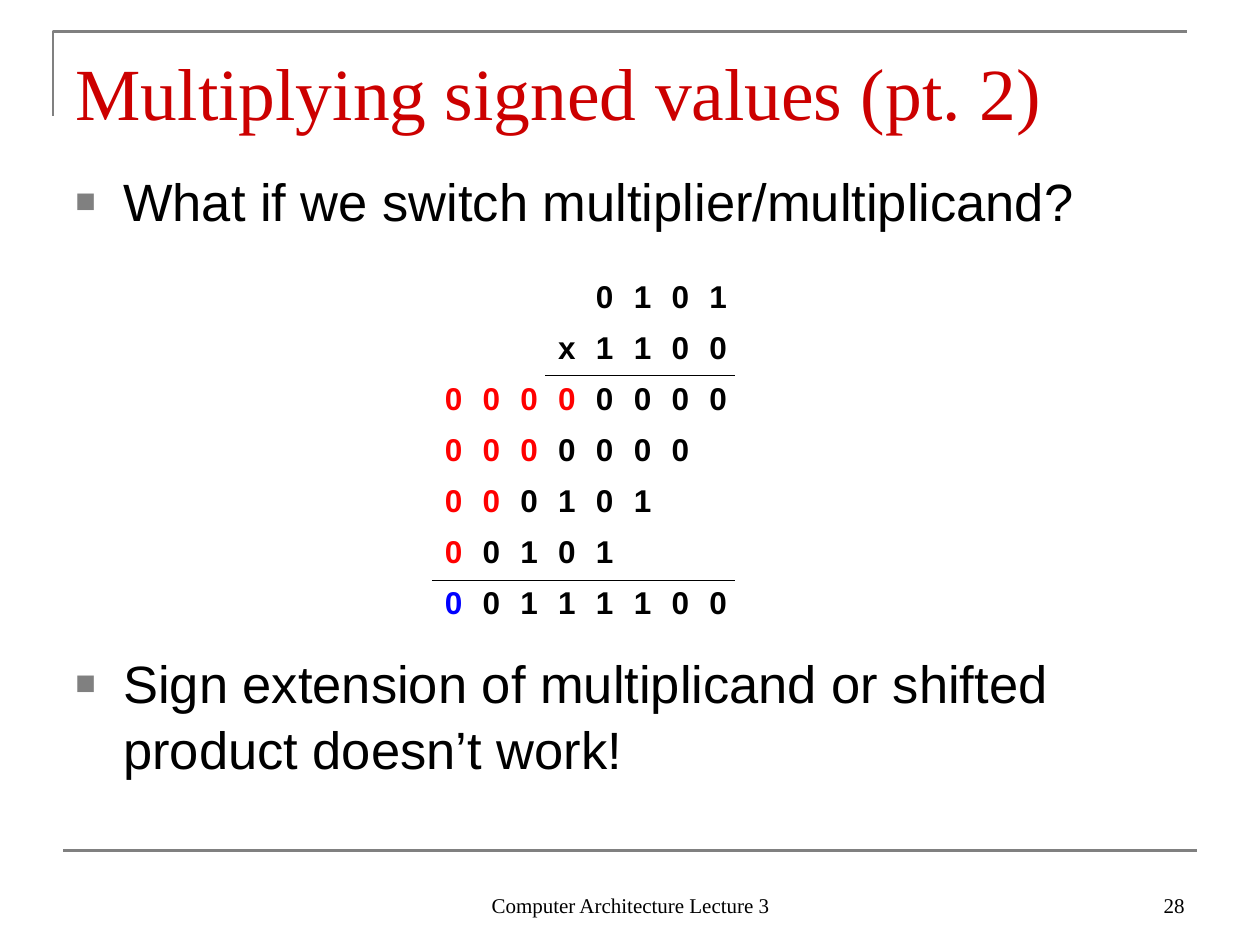
from lxml import etree
from pptx import Presentation
from pptx import util as u
from pptx.dml.color import RGBColor
from pptx.enum import shapes, text
from pptx.oxml import ns

COLORS = {"title": "CC0000", "text": "000000", "gray": "808080",
          "sign": "FF0000", "result": "0000FF", "blank": "FFFFFF"}
SANS, SERIF = "Arial", "Times New Roman"
ROWS = ["      0101",
        "     x1100",
        "  00000000",
        "  0000000 ",
        "  000101  ",
        "  00101   ",
        "  00111100"]
FIRST = 2
RULES = {1: 5, 5: FIRST}
SIGN_BITS = {2: 4, 3: 3, 4: 2, 5: 1}


def rgb(name):
    return RGBColor.from_string(COLORS[name])


def inches(box):
    return [u.Inches(v) for v in box]


def set_all(obj, values):
    for name, value in values.items():
        setattr(obj, name, value)


def write(tf, words, size, font, color="text", bold=False,
          align=text.PP_ALIGN.LEFT):
    p = tf.paragraphs[0]
    p.alignment = align
    r = p.add_run()
    r.text = words
    set_all(r.font, {"size": u.Pt(size), "name": font, "bold": bold})
    r.font.color.rgb = rgb(color)
    return p


def set_frame(tf, anchor, top=0.05, bottom=0.05):
    set_all(tf, {"word_wrap": True, "auto_size": text.MSO_AUTO_SIZE.NONE,
                 "vertical_anchor": anchor,
                 "margin_left": u.Inches(0.1), "margin_right": u.Inches(0.1),
                 "margin_top": u.Inches(top), "margin_bottom": u.Inches(bottom)})


def style_line(sp):
    sp.line.color.rgb = rgb("gray")
    sp.line.width = u.Pt(1.5)


def add_corner(s, box):
    l, t, w, h = inches(box)
    fb = s.shapes.build_freeform(l, t + h)
    fb.add_line_segments([(l, t), (l + w, t)], close=False)
    sp = fb.convert_to_shape()
    sp.shadow.inherit = False
    sp.fill.background()
    style_line(sp)


def add_footer_rule(s, box):
    l, t, w, h = inches(box)
    sp = s.shapes.add_connector(shapes.MSO_CONNECTOR.STRAIGHT, l, t, l + w, t + h)
    style_line(sp)
    etree.SubElement(sp._element.spPr, ns.qn("a:effectLst"))


def add_title(s, box, words):
    sp = s.shapes.title
    set_all(sp, dict(zip(("left", "top", "width", "height"), inches(box))))
    set_frame(sp.text_frame, text.MSO_ANCHOR.BOTTOM, 0, 0.01)
    write(sp.text_frame, words, 42, SERIF, "title")


def add_bullet(s, box, words):
    tf = s.shapes.add_textbox(*inches(box)).text_frame
    set_frame(tf, text.MSO_ANCHOR.TOP, 0.07)
    p = write(tf, words, 30, SANS)
    pPr = p._p.get_or_add_pPr()
    indent = u.Inches(0.38)
    pPr.set("marL", str(indent))
    pPr.set("indent", str(-indent))
    clr = etree.SubElement(pPr, ns.qn("a:buClr"))
    etree.SubElement(clr, ns.qn("a:srgbClr"), val=COLORS["gray"])
    etree.SubElement(pPr, ns.qn("a:buSzPct"), val="65000")
    etree.SubElement(pPr, ns.qn("a:buFont"), typeface=SANS)
    etree.SubElement(pPr, ns.qn("a:buChar"), char="■")
    p.line_spacing = 1.04


def add_footer(s, box, words, align):
    tf = s.shapes.add_textbox(*inches(box)).text_frame
    set_frame(tf, text.MSO_ANCHOR.BOTTOM)
    write(tf, words, 12, SERIF, align=align)


def has_rule(row, col):
    return row in RULES and col >= RULES[row]


def set_borders(cell, row, col):
    tcPr = cell._tc.get_or_add_tcPr()
    ruled = {"T": has_rule(row - 1, col), "B": has_rule(row, col)}
    for side in "LRTB":
        color = COLORS["text" if ruled.get(side) else "blank"]
        ln = etree.SubElement(tcPr, ns.qn("a:ln" + side), w=str(u.Pt(0.45)))
        fill = etree.SubElement(ln, ns.qn("a:solidFill"))
        etree.SubElement(fill, ns.qn("a:srgbClr"), val=color)


def digit_color(row, col):
    if col - FIRST < SIGN_BITS.get(row, 0):
        return "sign"
    if row == len(ROWS) - 1 and col == FIRST:
        return "result"
    return "text"


def add_multiplication(s, box):
    l, t, w, h = inches(box)
    tbl = s.shapes.add_table(len(ROWS), len(ROWS[0]), l, t, w, h).table
    tbl.first_row = tbl.horz_banding = False
    for row, digits in enumerate(ROWS):
        for col, digit in enumerate(digits):
            cell = tbl.cell(row, col)
            set_borders(cell, row, col)
            cell.fill.background()
            if digit != " ":
                write(cell.text_frame, digit, 18, SANS,
                      digit_color(row, col), True)


def main():
    prs = Presentation()
    prs.slide_width, prs.slide_height = u.Inches(10), u.Inches(7.5)
    s = prs.slides.add_slide(prs.slide_layouts[5])
    add_corner(s, (0.42, 0.25, 9, 0.67))
    add_footer_rule(s, (0.5, 6.75, 9, 0))
    add_title(s, (0.5, 0.3, 9, 0.78), "Multiplying signed values (pt. 2)")
    add_bullet(s, (0.5, 1.25, 9, 0.92),
               "What if we switch multiplier/multiplicand?")
    add_bullet(s, (0.5, 5.08, 9, 1.62),
               "Sign extension of multiplicand or shifted product doesn’t work!")
    add_footer(s, (3.42, 6.83, 3.17, 0.5), "Computer Architecture Lecture 3",
               text.PP_ALIGN.CENTER)
    add_footer(s, (7.17, 6.83, 2.33, 0.5), "28", text.PP_ALIGN.RIGHT)
    add_multiplication(s, (2.83, 2.17, 3, 2.84))
    prs.save("out.pptx")


if __name__ == "__main__":
    main()
